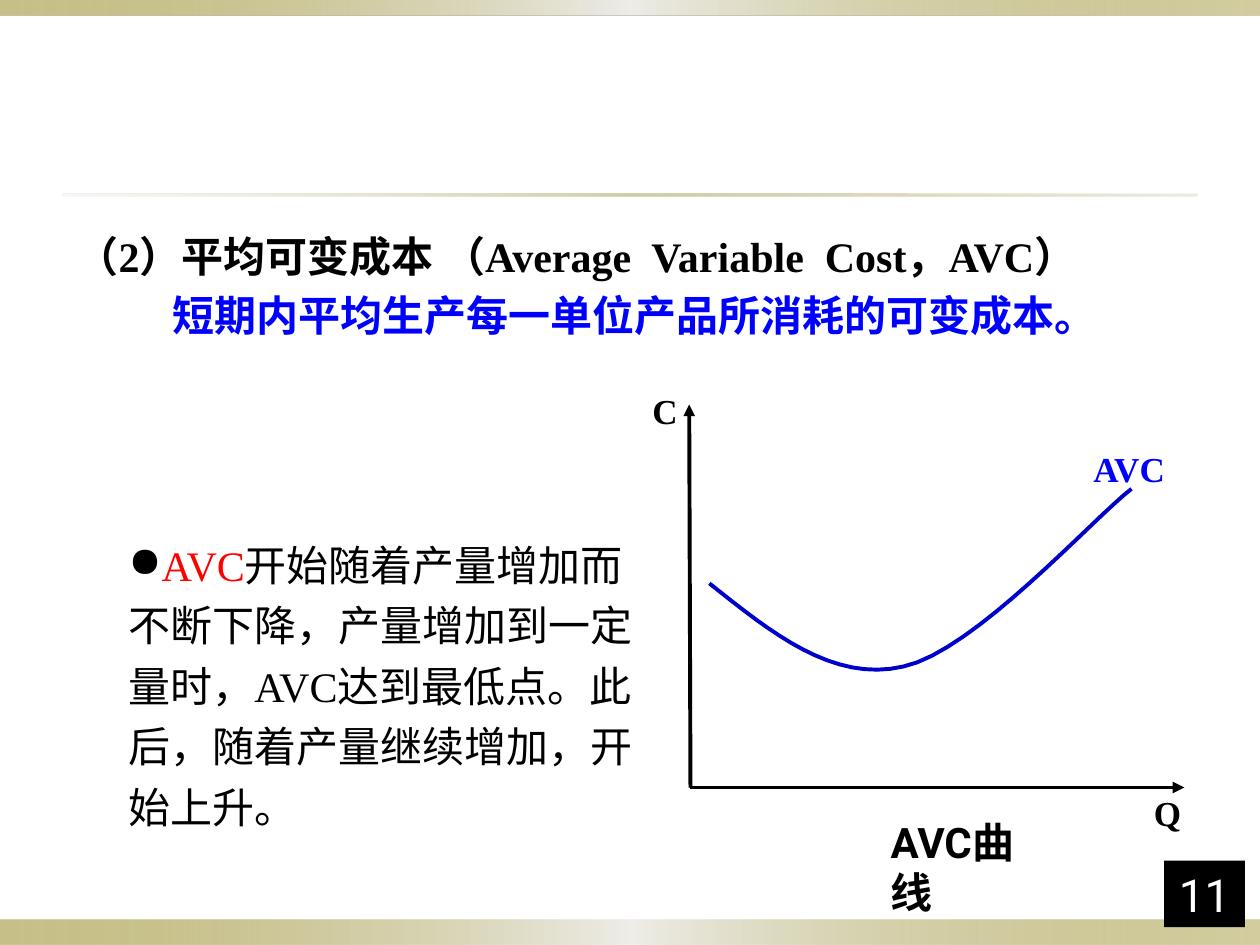
from dataclasses import dataclass, field
from lxml.etree import SubElement
from pptx import Presentation
from pptx.dml.color import RGBColor
from pptx.enum.shapes import MSO_CONNECTOR, MSO_SHAPE
from pptx.enum.text import MSO_ANCHOR, PP_ALIGN
from pptx.oxml.ns import qn
from pptx.util import Inches, Pt

COLORS = {"black": "000000", "white": "FFFFFF", "red": "FF0000", "blue": "0000FF",
          "curve": "0000CC", "olive": "918415", "pale": "EEEDE8", "sand": "DCD9CC"}
SERIF, SANS = "Times New Roman", "Roboto"
COLS, ROWS = 100, 75


def rgb(name):
    return RGBColor.from_string(COLORS[name])


def write(p, text, size=24, font=SERIF, color="black", bold=False):
    r = p.add_run()
    r.text = text
    r.font.size, r.font.name, r.font.bold = Pt(size), font, bold
    r.font.color.rgb = rgb(color)
    return r


def indent(p, left, first=0):
    pPr = p._p.get_or_add_pPr()
    pPr.set("marL", str(Inches(left)))
    pPr.set("indent", str(Inches(first)))


def bullet(p, char, color):
    indent(p, 0)
    pPr = p._p.get_or_add_pPr()
    SubElement(SubElement(pPr, qn("a:buClr")), qn("a:srgbClr"), val=COLORS[color])
    SubElement(pPr, qn("a:buChar"), char=char)


def bezier(a, b, c, d, steps=16):
    """Points along a cubic curve, without its start."""
    for i in range(1, steps + 1):
        t = i / steps
        u = 1 - t
        yield tuple(u**3 * w + 3 * u * u * t * x + 3 * u * t * t * y + t**3 * z
                    for w, x, y, z in zip(a, b, c, d))


@dataclass
class Deck:
    """Draws on the current slide; lengths are columns and rows of the grid."""
    prs: object = field(default_factory=Presentation)
    s: object = None
    line_width: float = 2.25

    def __post_init__(self):
        self.prs.slide_width, self.prs.slide_height = Inches(10), Inches(7.5)

    def new_slide(self):
        self.s = self.prs.slides.add_slide(self.prs.slide_layouts[6])

    def x(self, cols):
        return round(self.prs.slide_width * cols / COLS)

    def y(self, rows):
        return round(self.prs.slide_height * rows / ROWS)

    def area(self, left, top, width, height):
        return self.x(left), self.y(top), self.x(width), self.y(height)

    def rect(self, *area, fill=None):
        sp = self.s.shapes.add_shape(MSO_SHAPE.RECTANGLE, *self.area(*area))
        sp.shadow.inherit = False
        sp.line.fill.background()
        if fill:
            sp.fill.solid()
            sp.fill.fore_color.rgb = rgb(fill)
        return sp

    def band(self, *area, stops):
        """Bar with a left-to-right gradient of (position, colour, opacity) stops."""
        sp = self.rect(*area)
        sp.fill.gradient()
        sp.fill.gradient_angle = 0
        gs_lst = sp._element.spPr.find(qn("a:gradFill")).find(qn("a:gsLst"))
        for gs in list(gs_lst):
            gs_lst.remove(gs)
        for pos, color, opacity in stops:
            gs = SubElement(gs_lst, qn("a:gs"), pos=str(pos * 1000))
            clr = SubElement(gs, qn("a:srgbClr"), val=COLORS[color])
            SubElement(clr, qn("a:alpha"), val=str(opacity * 1000))

    def text_box(self, *area, anchor=MSO_ANCHOR.TOP, wrap=True):
        tf = self.s.shapes.add_textbox(*self.area(*area)).text_frame
        tf.word_wrap, tf.vertical_anchor = wrap, anchor
        return tf

    def label(self, text, *area, wrap=False, **style):
        write(self.text_box(*area, wrap=wrap).paragraphs[0], text, bold=True, **style)

    def arrow(self, start, end):
        c = self.s.shapes.add_connector(MSO_CONNECTOR.STRAIGHT, self.x(start[0]), self.y(start[1]),
                                        self.x(end[0]), self.y(end[1]))
        c.line.color.rgb, c.line.width = rgb("black"), Pt(self.line_width)
        SubElement(c.line._get_or_add_ln(), qn("a:tailEnd"), type="triangle")
        SubElement(c._element.spPr, qn("a:effectLst"))

    def curve(self, start, *segments, color):
        points = [start]
        for segment in segments:
            points += bezier(points[-1], *segment)
        (x0, y0), *rest = [(self.x(px), self.y(py)) for px, py in points]
        fb = self.s.shapes.build_freeform(x0, y0)
        fb.add_line_segments(rest, close=False)
        sp = fb.convert_to_shape()
        sp.shadow.inherit = False
        sp.fill.background()
        sp.line.color.rgb, sp.line.width = rgb(color), Pt(self.line_width)


def main():
    d = Deck()
    d.new_slide()

    edge = [(0, "olive", 50), (50, "pale", 100), (100, "olive", 40)]
    d.band(0, 73, 100, 2, stops=edge)
    d.band(0, 0, 100, 1.2, stops=edge)
    d.band(5, 15.4, 90, 0.2, stops=[(0, "sand", 20), (50, "olive", 40), (100, "sand", 50)])

    p = d.text_box(9.2, 41.4, 43.2, 25.2, anchor=MSO_ANCHOR.MIDDLE).paragraphs[0]
    bullet(p, "●", "black")
    p.line_spacing = 1.2
    write(p, "AVC", color="red")
    write(p, "开始随着产量增加而不断下降，产量增加到一定量时，AVC达到最低点。此后，随着产量继续增加，开始上升。")

    tf = d.text_box(5.1, 17.8, 87.3, 11.1)
    p = tf.paragraphs[0]
    indent(p, 0.38, -0.38)
    write(p, "（2）平均可变成本 （Average  Variable  Cost，AVC）", bold=True)
    p = tf.add_paragraph()
    indent(p, 0.76)
    p.space_before = Pt(4.8)
    write(p, "短期内平均生产每一单位产品所消耗的可变成本。", font=SANS, color="blue", bold=True)

    tf = d.rect(92.4, 68.3, 6.4, 5.3, fill="black").text_frame
    tf.vertical_anchor = MSO_ANCHOR.BOTTOM
    tf.paragraphs[0].alignment = PP_ALIGN.CENTER
    write(tf.paragraphs[0], "11", size=26, font=SANS, color="white")

    origin = (54.8, 62.5)
    d.arrow(origin, (54.7, 32.1))
    d.arrow(origin, (94, 62.5))
    d.curve((56.3, 46.3),
            [(61.2, 50.2), (66.1, 54.2), (71.7, 52.9)],
            [(77.3, 51.7), (86.8, 41.1), (89.8, 38.8)], color="curve")
    d.label("Q", 90.6, 62.3, 4.2, 4.3, size=20)
    d.label("C", 50.8, 30.4, 4, 4.3, size=20)
    d.label("AVC", 85.8, 35, 10, 4.3, size=20, color="blue", wrap=True)
    d.label("AVC曲线", 69.7, 64.3, 14.1, 5, font=SANS, wrap=True)

    d.prs.save("out.pptx")


if __name__ == "__main__":
    main()
